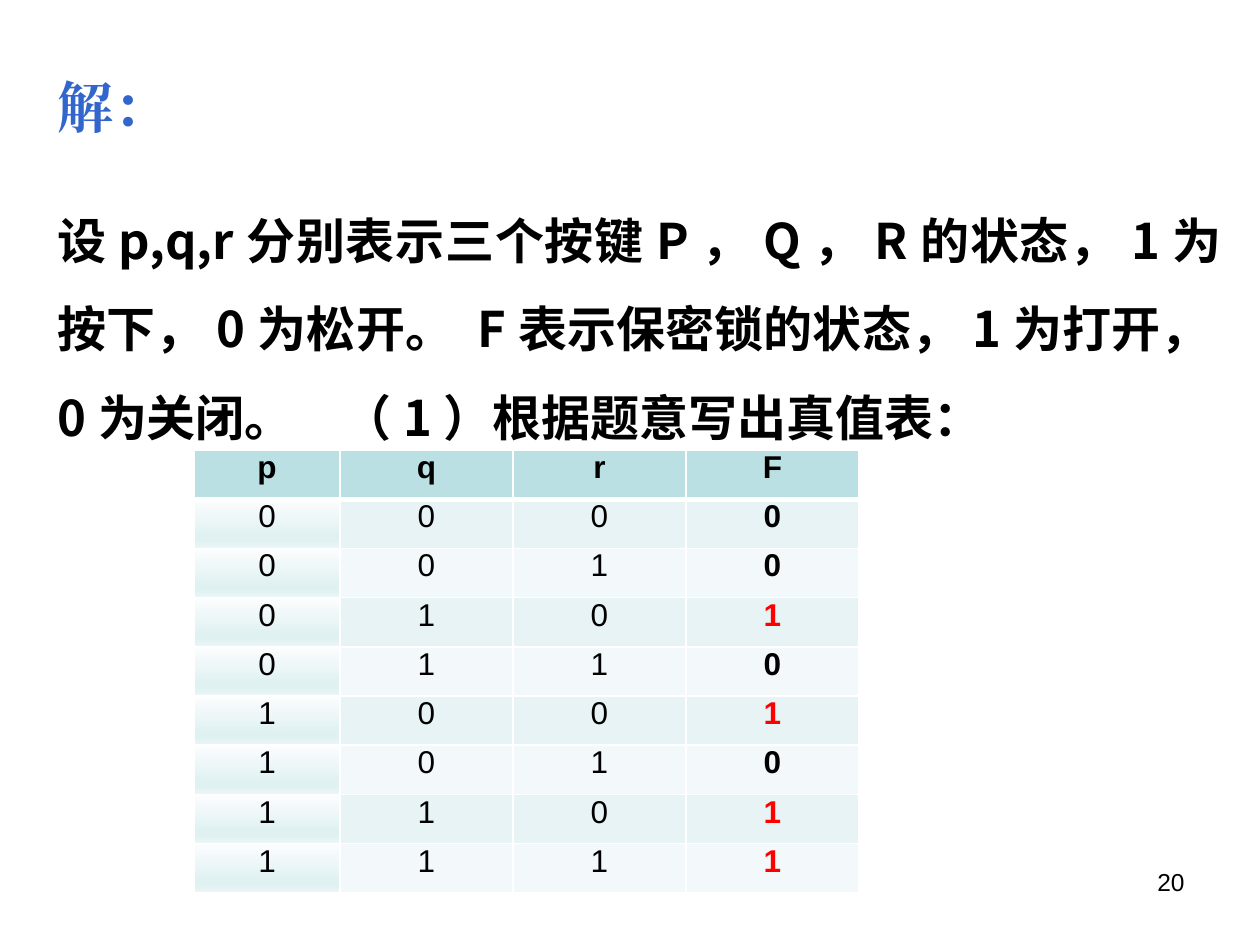
"""Build a slide that states a lock problem and its truth table."""
from dataclasses import dataclass
from itertools import product

from lxml import etree
from pptx import Presentation
from pptx.dml.color import RGBColor
from pptx.enum.text import MSO_ANCHOR, PP_ALIGN
from pptx.oxml.ns import qn
from pptx.util import Emu, Pt

CENTER, RIGHT, JUSTIFY = PP_ALIGN.CENTER, PP_ALIGN.RIGHT, PP_ALIGN.JUSTIFY
TOP = MSO_ANCHOR.TOP
EMU_PER_PX = 914400 / 126


@dataclass(frozen=True)
class Theme:
    ink: str = "000000"
    title: str = "3366CC"
    accent: str = "FF0000"
    border: str = "FFFFFF"
    header: str = "BBE0E3"
    bands: tuple[str, str] = ("E7F3F4", "F3F9FA")
    gradient: tuple[tuple[int, str], ...] = (
        (0, "FCFDFE"), (74, "E0F1F2"), (83, "E0F1F2"), (100, "EBF6F7"))
    latin: str = "Arial"
    serif: str = "Times New Roman"
    chinese: str = "Noto Sans CJK SC"
    title_size: int = 32
    body_size: int = 28
    table_size: int = 18
    number_size: int = 14


THEME = Theme()


@dataclass(frozen=True)
class TextBlock:
    text: str
    left: int
    top: int
    width: int
    height: int
    size: int
    font: str
    align: PP_ALIGN
    color: str = THEME.ink
    bold: bool = False
    spacing: float = 1.0


BLOCKS = (
    TextBlock("20", 903, 861, 294, 65, THEME.number_size, THEME.latin, RIGHT),
    TextBlock("解：", 45, 66, 169, 81, THEME.title_size, THEME.serif, JUSTIFY,
              color=THEME.title, bold=True),
    TextBlock("设p,q,r分别表示三个按键P，Q，R的状态，1为按下，0为松开。 "
              "F表示保密锁的状态，1为打开，0为关闭。　（1）根据题意写出真值表：",
              45, 175, 1189, 266, THEME.body_size, THEME.chinese, JUSTIFY,
              bold=True, spacing=1.5),
)
HEADINGS = ("p", "q", "r", "F")
OPENING_KEYS = {(0, 1, 0), (1, 0, 0), (1, 1, 0), (1, 1, 1)}
TABLE_LEFT, TABLE_TOP, TABLE_HEIGHT = 194, 450, 443
COLUMN_WIDTHS = (146, 173, 173, 173)
CELL_INSET = 10


def px(length: int) -> Emu:
    """Convert whole pixels to EMU."""
    return Emu(round(length * EMU_PER_PX))


def write_text(frame, text: str, *, size: int, font: str, align: PP_ALIGN,
               color: str = THEME.ink, bold: bool = False,
               spacing: float = 1.0) -> None:
    """Write one formatted paragraph into a text frame."""
    para = frame.paragraphs[0]
    para.alignment = align
    para.line_spacing = spacing
    span = para.add_run()
    span.text = text
    span.font.size = Pt(size)
    span.font.name = font
    span.font.bold = bold
    span.font.color.rgb = RGBColor.from_string(color)
    properties = span.font._element
    etree.SubElement(properties, qn("a:ea"), typeface=font)


def draw_block(page, block: TextBlock) -> None:
    """Draw a wrapped text box."""
    box = page.shapes.add_textbox(px(block.left), px(block.top),
                                  px(block.width), px(block.height))
    box.text_frame.word_wrap = True
    write_text(box.text_frame, block.text, size=block.size, font=block.font,
               align=block.align, color=block.color, bold=block.bold,
               spacing=block.spacing)


def add_color(parent, color: str) -> None:
    """Append an RGB colour element."""
    etree.SubElement(parent, qn("a:srgbClr"), val=color)


def add_borders(cell, top: int, bottom: int) -> None:
    """Outline a cell, with top and bottom widths in points."""
    properties = cell._tc.get_or_add_tcPr()
    for side, width in (("L", 1), ("R", 1), ("T", top), ("B", bottom)):
        line = etree.SubElement(properties, qn(f"a:ln{side}"), w=str(Pt(width)))
        add_color(etree.SubElement(line, qn("a:solidFill")), THEME.border)


def fill_gradient(cell) -> None:
    """Fill a cell with the vertical theme gradient."""
    fill = etree.SubElement(cell._tc.get_or_add_tcPr(), qn("a:gradFill"))
    stops = etree.SubElement(fill, qn("a:gsLst"))
    for position, color in THEME.gradient:
        add_color(etree.SubElement(stops, qn("a:gs"), pos=str(position * 1000)),
                  color)
    etree.SubElement(fill, qn("a:lin"), ang="5400000", scaled="0")


def draw_cell(cell, text: str, row: int, column: int) -> None:
    """Style and write one truth table cell."""
    is_header, is_result = row == 0, column == len(HEADINGS) - 1
    cell.margin_left = cell.margin_right = px(CELL_INSET)
    cell.margin_top = cell.margin_bottom = 0
    cell.vertical_anchor = TOP
    add_borders(cell, 3 if row == 1 else 1, 3 if is_header else 1)
    if column == 0 and not is_header:
        fill_gradient(cell)
    else:
        cell.fill.solid()
        color = THEME.header if is_header else THEME.bands[(row - 1) % 2]
        cell.fill.fore_color.rgb = RGBColor.from_string(color)
    write_text(cell.text_frame, text, size=THEME.table_size, font=THEME.latin,
               align=CENTER, bold=is_header or is_result,
               color=THEME.accent if is_result and text == "1" else THEME.ink)


def draw_truth_table(page) -> None:
    """Draw the table of every key state and the lock state."""
    states = [(*keys, int(keys in OPENING_KEYS))
              for keys in product((0, 1), repeat=3)]
    rows = [HEADINGS, *states]
    table = page.shapes.add_table(
        len(rows), len(HEADINGS), px(TABLE_LEFT), px(TABLE_TOP),
        px(sum(COLUMN_WIDTHS)), px(TABLE_HEIGHT)).table
    for column, width in zip(table.columns, COLUMN_WIDTHS):
        column.width = px(width)
    for row, values in enumerate(rows):
        table.rows[row].height = px(TABLE_HEIGHT) // len(rows)
        for column, value in enumerate(values):
            draw_cell(table.cell(row, column), str(value), row, column)


def main() -> None:
    """Build and save the deck."""
    deck = Presentation()
    deck.slide_width, deck.slide_height = px(1260), px(945)
    page = deck.slides.add_slide(deck.slide_layouts[6])
    for block in BLOCKS:
        draw_block(page, block)
    draw_truth_table(page)
    deck.save("out.pptx")


if __name__ == "__main__":
    main()
